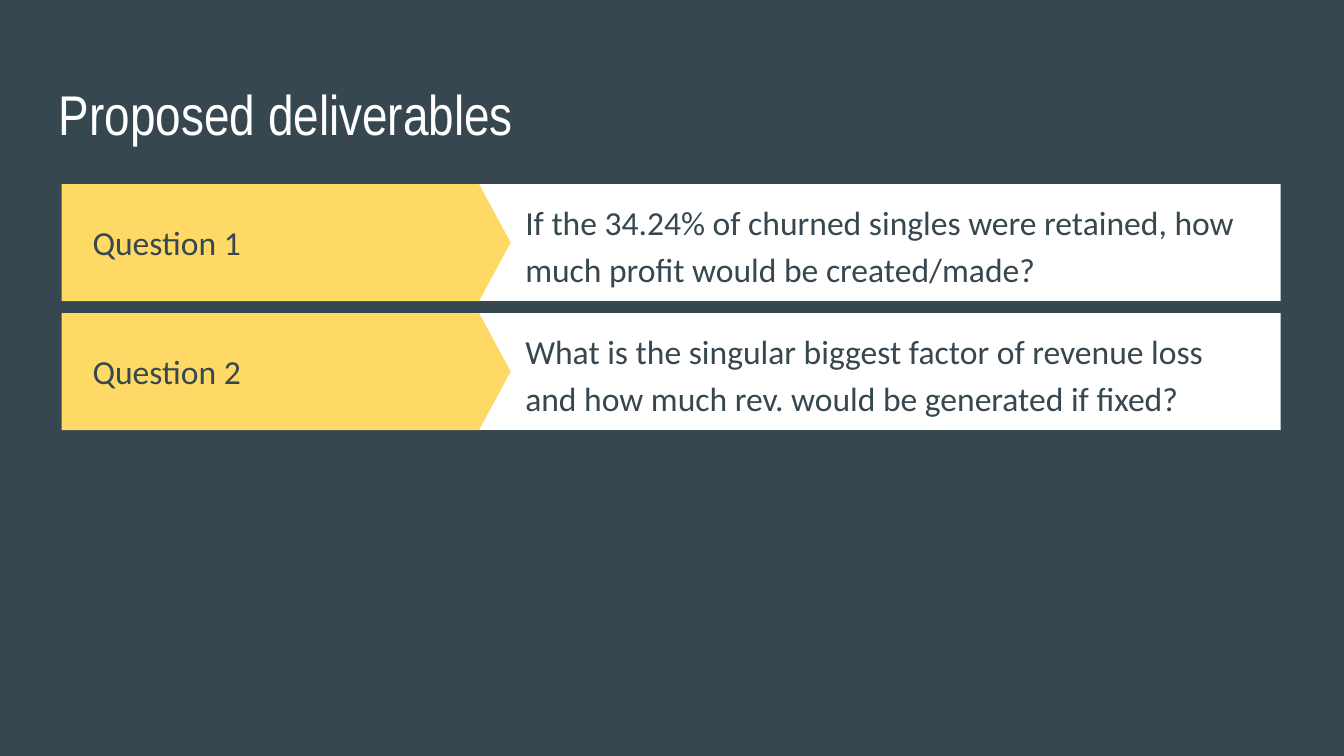
from pptx import Presentation
from pptx.dml.color import RGBColor
from pptx.enum.shapes import MSO_SHAPE
from pptx.enum.text import MSO_ANCHOR, PP_ALIGN
from pptx.util import Inches, Pt

SLATE = RGBColor(0x37, 0x47, 0x4F)
WHITE = RGBColor(0xFF, 0xFF, 0xFF)
YELLOW = RGBColor(0xFF, 0xD9, 0x66)

QUESTIONS = [
    ("Question 1",
     "If the 34.24% of churned singles were retained, how much profit would be created/made?"),
    ("Question 2",
     "What is the singular biggest factor of revenue loss and how much rev. "
     "would be generated if fixed?"),
]


def add_text(slide, box, text, font, size, color, anchor=MSO_ANCHOR.MIDDLE, spacing=1.0):
    frame = slide.shapes.add_textbox(*map(Inches, box)).text_frame
    frame.word_wrap = True
    frame.vertical_anchor = anchor
    frame.margin_left = frame.margin_right = Inches(0.1)
    frame.margin_top = frame.margin_bottom = Inches(0.1)
    frame.text = text
    paragraph = frame.paragraphs[0]
    paragraph.alignment = PP_ALIGN.LEFT
    paragraph.line_spacing = spacing
    run_font = paragraph.runs[0].font
    run_font.name = font
    run_font.size = Pt(size)
    run_font.color.rgb = color


def add_panel(band, preset, box, color):
    panel = band.shapes.add_shape(preset, *map(Inches, box))
    panel.shadow.inherit = False
    panel.fill.solid()
    panel.fill.fore_color.rgb = color
    panel.line.fill.background()
    return panel


def add_title(slide, box):
    add_text(slide, box, "Proposed deliverables", "Arial Narrow", 30, WHITE, MSO_ANCHOR.TOP)


def add_question(slide, box, label, question):
    left, top, width, height = box
    band = slide.shapes.add_group_shape()
    add_panel(band, MSO_SHAPE.RECTANGLE, (left + 2.74, top, width - 2.74, height), WHITE)
    arrow = add_panel(band, MSO_SHAPE.PENTAGON, (left, top, 3.34, height), YELLOW)
    arrow.adjustments[0] = 0.27
    add_text(slide, (left + 0.13, top, 2.65, height), label, "Calibri", 18, SLATE)
    add_text(slide, (left + 3.35, top, 5.59, height), question, "Calibri", 18, SLATE,
             spacing=1.15)


def main():
    deck = Presentation()
    deck.slide_width = Inches(10)
    deck.slide_height = deck.slide_width * 9 // 16
    slide = deck.slides.add_slide(deck.slide_layouts[6])
    slide.background.fill.solid()
    slide.background.fill.fore_color.rgb = SLATE

    add_title(slide, (0.34, 0.49, 9.32, 0.63))
    for row, (label, question) in enumerate(QUESTIONS):
        add_question(slide, (0.46, 1.37 + row * 0.96, 9.07, 0.87), label, question)
    deck.save("out.pptx")


if __name__ == "__main__":
    main()
